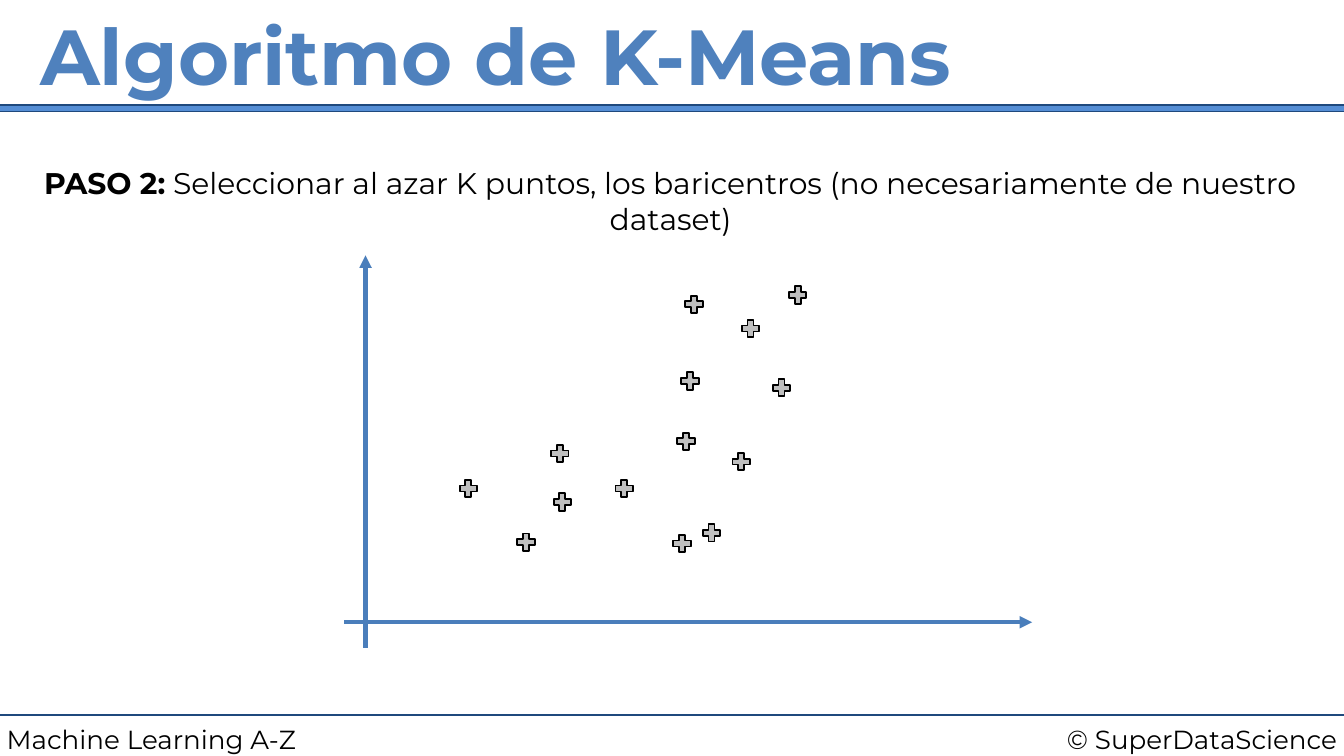
import pptx
import pptx.dml.color
import pptx.enum.shapes
import pptx.enum.text
import pptx.oxml.ns
import pptx.util
from lxml import etree

Inches = pptx.util.Inches
ALIGN = pptx.enum.text.PP_ALIGN
ANCHOR = pptx.enum.text.MSO_ANCHOR
SHAPE = pptx.enum.shapes.MSO_SHAPE

WIDTH = 10
HEIGHT = WIDTH * 9 / 16
FONT = "Montserrat"
BLACK, NAVY, BAR_BLUE = "000000", "1F497D", "558ED5"
TITLE_BLUE, AXIS_BLUE, MARKER_GREY = "4F81BD", "4A7EBB", "BFBFBF"
MARKER_SIZE = 0.13
POINTS = [
    (3.19, 0.92), (0.86, 1.67), (1.29, 2.07), (1.54, 1.41), (2.51, 0.87),
    (2.96, 0.48), (2.48, 1.32), (2.67, 2.00), (1.56, 1.77), (3.31, 0.23),
    (2.02, 1.67), (2.45, 2.08), (2.89, 1.47), (2.54, 0.30),
]


def color(value):
    """Turn a hex string into a colour."""
    return pptx.dml.color.RGBColor.from_string(value)


def add_text(page, box, spans, size, align=ALIGN.LEFT, ink=BLACK, grow=True):
    """Add one paragraph made of (text, bold) spans."""
    shape = page.shapes.add_textbox(*map(Inches, box))
    frame = shape.text_frame
    frame.word_wrap = True
    frame.margin_left = frame.margin_right = Inches(0.05)
    frame.margin_top = frame.margin_bottom = Inches(0.05)
    if grow:
        frame.auto_size = pptx.enum.text.MSO_AUTO_SIZE.SHAPE_TO_FIT_TEXT
    else:
        frame.vertical_anchor = ANCHOR.MIDDLE
    para = frame.paragraphs[0]
    para.alignment = align
    for text, bold in spans:
        span = para.add_run()
        span.text = text
        span.font.name = FONT
        span.font.size = pptx.util.Pt(size)
        span.font.bold = bold
        span.font.color.rgb = color(ink)


def add_shape(page, kind, box, fill, line, weight):
    """Add a filled and outlined preset shape."""
    shape = page.shapes.add_shape(kind, *map(Inches, box))
    shape.shadow.inherit = False
    shape.fill.solid()
    shape.fill.fore_color.rgb = color(fill)
    shape.line.color.rgb = color(line)
    shape.line.width = pptx.util.Pt(weight)
    return shape


def add_line(page, start, end, ink, weight, arrow=False):
    """Add a straight line, with an arrowhead at its end if asked."""
    line = page.shapes.add_connector(
        pptx.enum.shapes.MSO_CONNECTOR.STRAIGHT, *map(Inches, start + end))
    line.line.color.rgb = color(ink)
    line.line.width = pptx.util.Pt(weight)
    properties = line._element.spPr
    if arrow:
        outline = properties.find(pptx.oxml.ns.qn("a:ln"))
        etree.SubElement(outline, pptx.oxml.ns.qn("a:tailEnd"), type="triangle")
    etree.SubElement(properties, pptx.oxml.ns.qn("a:effectLst"))


def add_header(page, left, top, width, height):
    """Place the title above a full-width bar."""
    add_shape(page, SHAPE.RECTANGLE, (left - 0.04, top + height - 0.05, width + 0.08, 0.05),
              BAR_BLUE, NAVY, 0.75)
    add_text(page, (left + 0.25, top, width - 0.5, height - 0.02),
             [("Algoritmo de K-Means", True)], 41.8, ink=TITLE_BLUE, grow=False)


def add_footer(page, left, top, width, height):
    """Place the rule and the two footer texts."""
    add_line(page, (left, top), (left + width, top), NAVY, 1.5)
    add_text(page, (left + width - 2.92, top + 0.01, 2.92, height),
             [("© SuperDataScience", False)], 14, ALIGN.RIGHT)
    add_text(page, (left, top + 0.01, 3.25, height), [("Machine Learning A-Z", False)], 14)


def add_plot(page, left, top, width, height):
    """Draw the crossing axes and the scattered markers."""
    axis_x, axis_y = left + 0.16, top + height - 0.19
    add_line(page, (axis_x, top + height), (axis_x, top), AXIS_BLUE, 2.25, arrow=True)
    add_line(page, (left, axis_y), (left + width, axis_y), AXIS_BLUE, 2.25, arrow=True)
    for x, y in POINTS:
        marker = add_shape(page, SHAPE.CROSS, (left + x, top + y, MARKER_SIZE, MARKER_SIZE),
                           MARKER_GREY, BLACK, 1)
        marker.adjustments[0] = 0.33


def main():
    """Build and save the slide."""
    deck = pptx.Presentation()
    deck.slide_width, deck.slide_height = Inches(WIDTH), Inches(HEIGHT)
    page = deck.slides.add_slide(deck.slide_layouts[6])
    add_footer(page, 0, 5.32, WIDTH, 0.34)
    add_header(page, 0, 0, WIDTH, 0.83)
    add_text(page, (0.03, 1.18, 9.92, 0.36), [
        ("PASO 2:", True),
        (" Seleccionar al azar K puntos, los baricentros (no necesariamente de nuestro dataset)", False),
    ], 16, ALIGN.CENTER)
    add_plot(page, 2.56, 1.9, 5.12, 2.92)
    deck.save("out.pptx")


if __name__ == "__main__":
    main()
